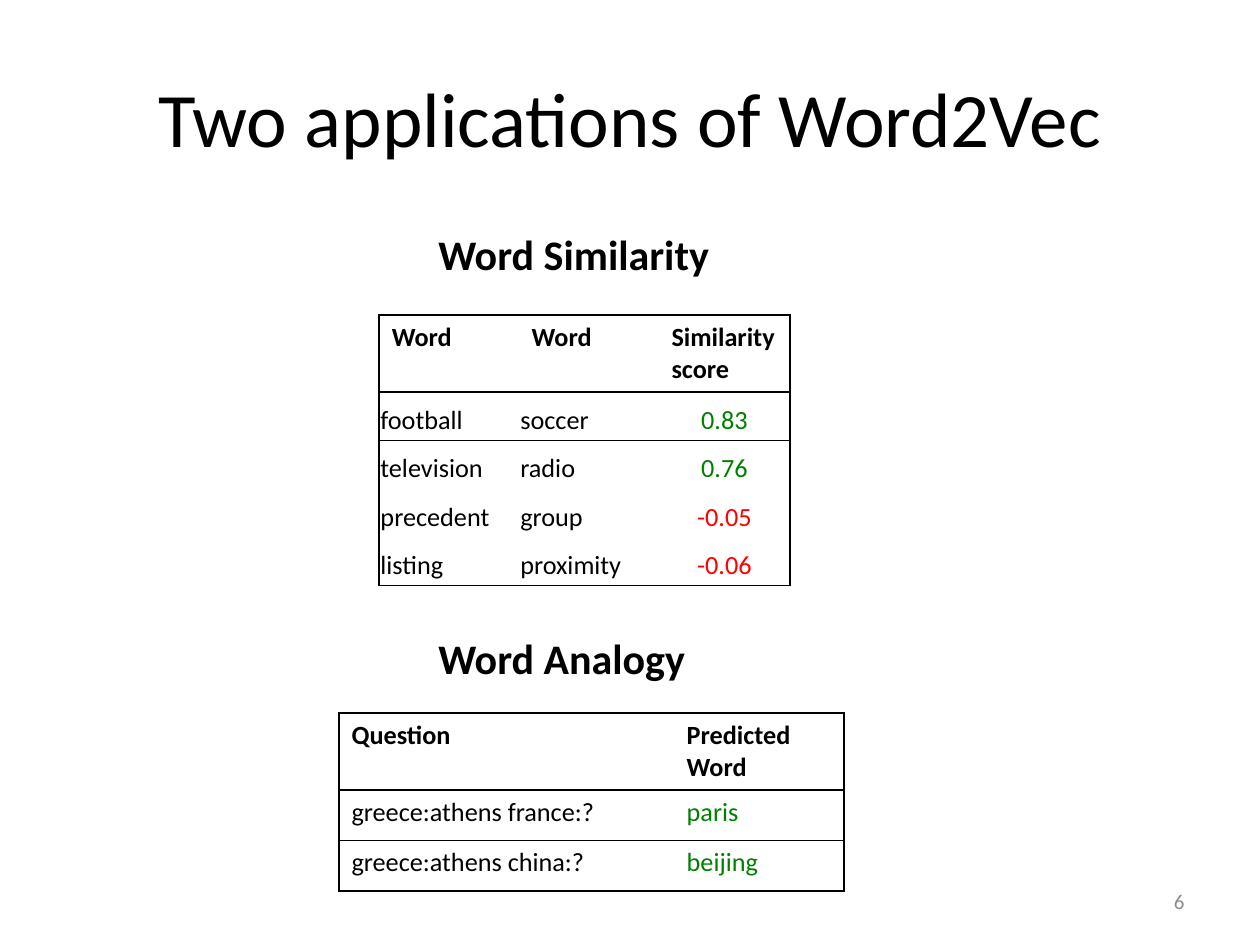
from dataclasses import dataclass

from lxml.etree import SubElement
from pptx import Presentation
from pptx.dml.color import RGBColor
from pptx.enum.text import MSO_ANCHOR as Anchor, PP_ALIGN as Align
from pptx.oxml.ns import qn
from pptx.util import Inches, Pt

FONT = "Calibri"
COLORS = {"ink": "000000", "good": "008000", "bad": "FF0000", "gray": "8C8C8C"}
PLAIN = "{2D5ABB26-0587-4C30-8999-92F81FD0307C}"  # no style, no grid


@dataclass
class Label:
    text: str
    box: tuple[float, float, float, float]
    size: int
    color: str = "ink"
    bold: bool = False
    align: Align = Align.LEFT
    anchor: Anchor = Anchor.BOTTOM
    before: float = 0


@dataclass
class Grid:
    left: float
    top: float
    cols: list[float]
    rows: list[float]
    cells: list[list[str]]
    rules: set[int]  # row edges that carry a line
    tight: bool = False  # small margins, bottom text, centred last column


LABELS = [
    Label("Word Similarity", (3.38, 1.56, 4.42, 0.7), 24, bold=True, before=4.8),
    Label("Word Analogy", (3.38, 4.77, 4.42, 0.7), 24, bold=True, before=4.8),
    Label("6", (7.17, 6.95, 2.33, 0.4), 12, "gray", align=Align.RIGHT,
          anchor=Anchor.MIDDLE),
]
GRIDS = [
    Grid(3.01, 2.5, [1.11, 1.11, 1.04], [0.61] + [0.385] * 4,
         [["Word", "Word", "Similarity score"],
          ["football", "soccer", "0.83"],
          ["television", "radio", "0.76"],
          ["precedent", "group", "-0.05"],
          ["listing", "proximity", "-0.06"]],
         {0, 1, 2, 5}, tight=True),
    Grid(2.69, 5.66, [2.66, 1.25], [0.61, 0.4, 0.4],
         [["Question", "Predicted Word"],
          ["greece:athens france:?", "paris"],
          ["greece:athens china:?", "beijing"]],
         {0, 1, 2, 3}),
]
GRIDS[1].cols[1] = 1.35


def style(para, size: int, color: str, bold: bool = False,
          align: Align = Align.LEFT) -> None:
    para.alignment = align
    font = para.font
    font.name, font.size, font.bold = FONT, Pt(size), bold
    font.color.rgb = RGBColor.from_string(COLORS[color])


def add_label(slide, item: Label) -> None:
    frame = slide.shapes.add_textbox(*map(Inches, item.box)).text_frame
    frame.word_wrap = True
    frame.vertical_anchor = item.anchor
    frame.text = item.text
    para = frame.paragraphs[0]
    para.space_before = Pt(item.before)
    style(para, item.size, item.color, item.bold, item.align)


def set_edges(cell, edges: dict[str, bool]) -> None:
    props = cell._tc.get_or_add_tcPr()
    for side, shown in edges.items():
        line = SubElement(props, qn(f"a:ln{side}"), w=str(Pt(1)))
        if shown:
            fill = SubElement(line, qn("a:solidFill"))
            SubElement(fill, qn("a:srgbClr"), val=COLORS["ink"])
        else:
            SubElement(line, qn("a:noFill"))


def add_grid(slide, grid: Grid) -> None:
    tall, wide = len(grid.rows), len(grid.cols)
    size = Inches(sum(grid.cols)), Inches(sum(grid.rows))
    table = slide.shapes.add_table(
        tall, wide, Inches(grid.left), Inches(grid.top), *size).table
    table._tbl.tblPr.find(qn("a:tableStyleId")).text = PLAIN
    table.first_row = table.horz_banding = False
    for col, width in zip(table.columns, grid.cols):
        col.width = Inches(width)
    for row, height in zip(table.rows, grid.rows):
        row.height = Inches(height)

    for r, texts in enumerate(grid.cells):
        for c, text in enumerate(texts):
            cell = table.cell(r, c)
            cell.text = text
            head, last = r == 0, c == wide - 1
            color, align = "ink", Align.LEFT
            if last and not head:
                color = "bad" if text.startswith("-") else "good"
            if grid.tight and not head:
                cell.vertical_anchor = Anchor.BOTTOM
                cell.margin_left = cell.margin_right = Inches(0.01)
                cell.margin_top = cell.margin_bottom = Inches(0.03)
                align = Align.CENTER if last else Align.LEFT
            style(cell.text_frame.paragraphs[0], 15, color, head, align)
            set_edges(cell, {"L": c == 0, "R": last,
                             "T": r in grid.rules, "B": r + 1 in grid.rules})
            cell.fill.background()


def main() -> None:
    deck = Presentation()
    deck.slide_width, deck.slide_height = Inches(10), Inches(7.5)
    slide = deck.slides.add_slide(deck.slide_layouts[5])

    # Title
    title = slide.shapes.title
    title.left, title.top = Inches(0.5), Inches(0.3)
    title.width, title.height = Inches(9), Inches(1.25)
    title.text_frame.text = "Two applications of Word2Vec"
    title.text_frame.vertical_anchor = Anchor.MIDDLE
    style(title.text_frame.paragraphs[0], 44, "ink", align=Align.CENTER)

    # Headings, page number and tables
    for item in LABELS:
        add_label(slide, item)
    for grid in GRIDS:
        add_grid(slide, grid)
    deck.save("out.pptx")


if __name__ == "__main__":
    main()
